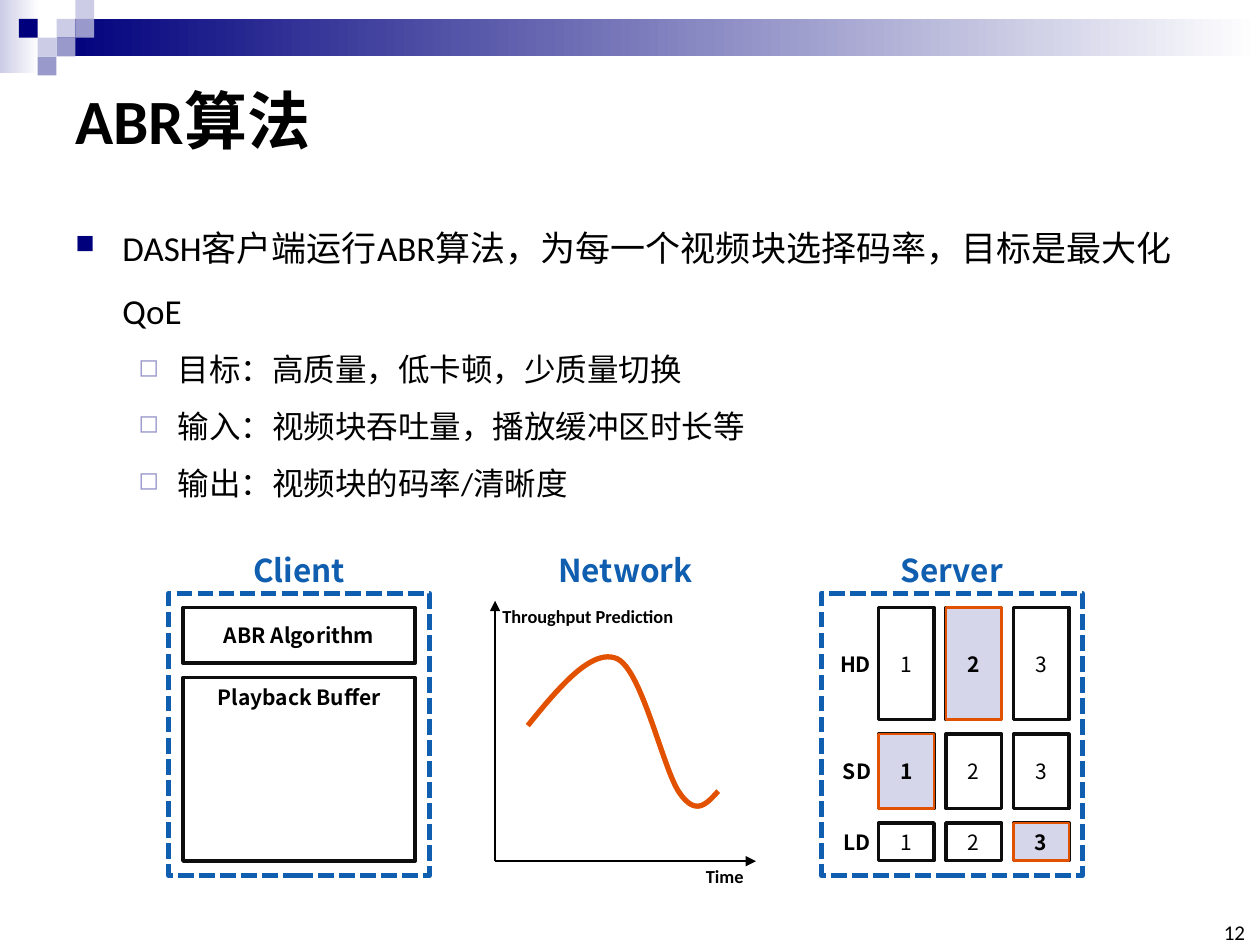
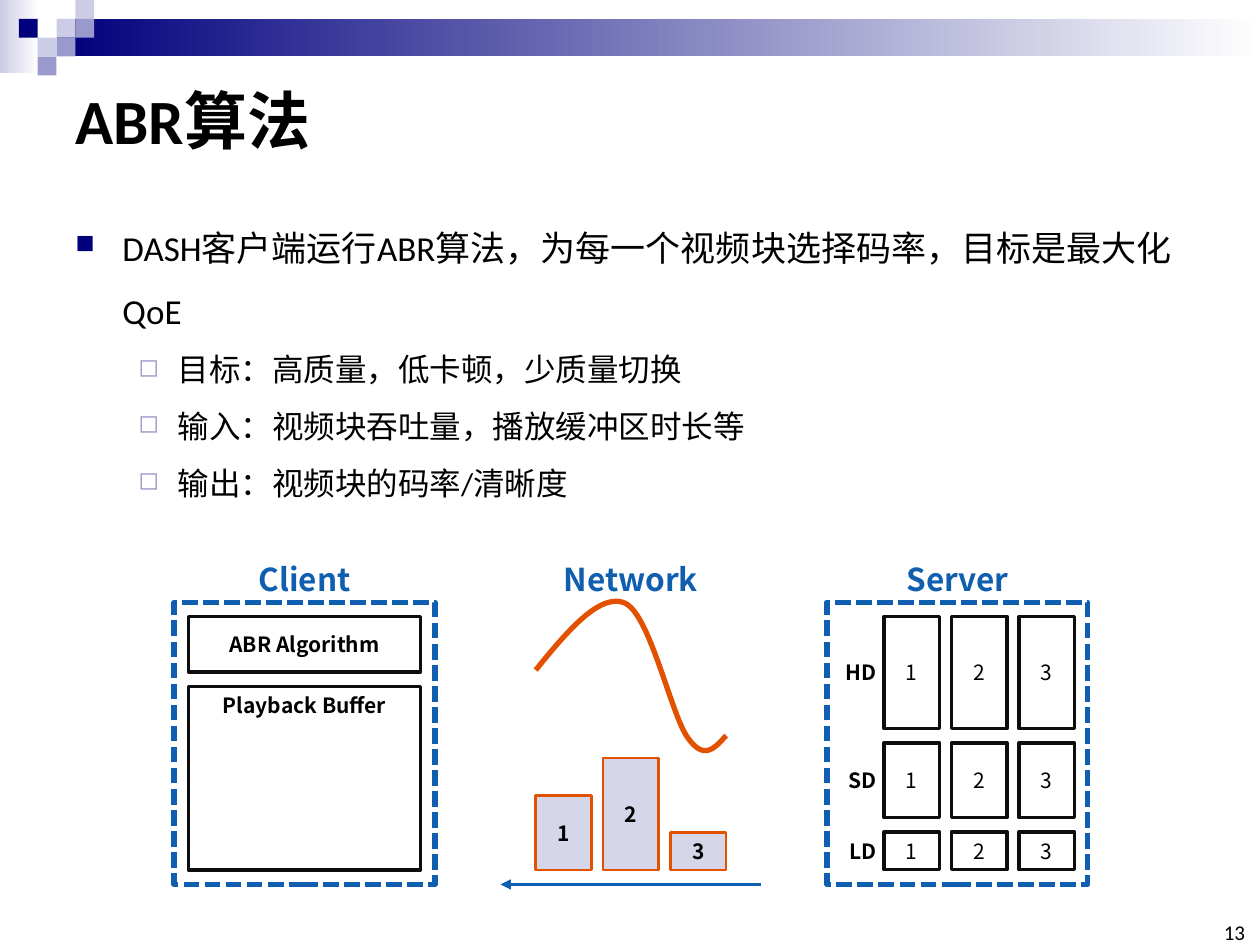
from dataclasses import dataclass
from itertools import accumulate

from lxml.etree import SubElement
from pptx import Presentation
from pptx.dml.color import RGBColor
from pptx.enum.dml import MSO_LINE
from pptx.enum.shapes import MSO_CONNECTOR, MSO_SHAPE
from pptx.enum.text import MSO_ANCHOR as Anchor, MSO_AUTO_SIZE, PP_ALIGN as Align
from pptx.oxml.ns import qn
from pptx.util import Cm, Pt


@dataclass(frozen=True)
class Theme:
    navy: str = "00007D"
    lavender: str = "9999CC"
    pale: str = "CCCCE6"
    chosen: str = "D6D6EB"
    white: str = "FFFFFF"
    black: str = "000000"
    box_line: str = "0D0D0D"
    blue: str = "105EAF"
    orange: str = "E15100"
    latin: str = "Calibri"
    cjk: str = "Noto Sans CJK SC"
    title: float = 36
    body: float = 20
    sub: float = 18
    heading: float = 18
    label: float = 12
    axis: float = 10.5


T = Theme()
TITLE = "ABR算法"
GOAL = "DASH客户端运行ABR算法，为每一个视频块选择码率，目标是最大化QoE"
DETAILS = [
    "目标：高质量，低卡顿，少质量切换",
    "输入：视频块吞吐量，播放缓冲区时长等",
    "输出：视频块的码率/清晰度",
]

# Diagram measures in cm
PANEL_W, PANEL_H, PANEL_PITCH = 5.26, 5.69, 6.58
GAP = 0.29
CHUNK_W, CHUNK_PITCH, FIRST_CHUNK = 1.12, 1.36, 1.15
QUALITY_HEIGHTS = {"HD": 2.26, "SD": 1.5, "LD": 0.76}
QUALITY_TOPS = dict(zip(QUALITY_HEIGHTS, accumulate(
    (h + GAP for h in QUALITY_HEIGHTS.values()), initial=GAP)))
CHOSEN_QUALITIES = ["SD", "HD", "LD"]
THROUGHPUT_BEZIERS = [
    [(0, 0), (0.64, -0.79), (1.3, -1.57), (1.8, -1.35)],
    [(1.8, -1.35), (2.31, -1.12), (2.74, 0.94), (3.07, 1.37)],
    [(3.07, 1.37), (3.4, 1.83), (3.61, 1.57), (3.84, 1.32)],
]


def rgb(color):
    return RGBColor.from_string(color)


def write(frame, *lines, size=T.label, font=T.cjk, color=T.black, bold=False,
          align=Align.CENTER, anchor=Anchor.MIDDLE, insets=(0.25, 0.13, 0.25, 0.13)):
    """Fill a text frame with one paragraph per line; insets are left, top, right, bottom."""
    frame.word_wrap = True
    frame.auto_size = MSO_AUTO_SIZE.NONE
    frame.vertical_anchor = anchor
    frame.margin_left, frame.margin_top, frame.margin_right, frame.margin_bottom = map(Cm, insets)
    for i, line in enumerate(lines):
        paragraph = frame.add_paragraph() if i else frame.paragraphs[0]
        paragraph.alignment = align
        run = paragraph.add_run()
        run.text = line
        run.font.size, run.font.bold, run.font.name = Pt(size), bold, font
        run.font.color.rgb = rgb(color)
        SubElement(run.font._element, qn("a:ea"), typeface=T.cjk)


def add_label(slide, x, y, w, h, text, **style):
    write(slide.shapes.add_textbox(Cm(x), Cm(y), Cm(w), Cm(h)).text_frame, text, **style)


def add_box(slide, x, y, w, h, text=None, fill=None, line=None, width=2, dash=None, **style):
    """Add a rectangle; a pair of colours as fill makes a left-to-right gradient."""
    box = slide.shapes.add_shape(MSO_SHAPE.RECTANGLE, Cm(x), Cm(y), Cm(w), Cm(h))
    box.shadow.inherit = False
    if fill is None:
        box.fill.background()
    elif isinstance(fill, tuple):
        box.fill.gradient()
        box.fill.gradient_angle = 0
        for stop, color, position in zip(box.fill.gradient_stops, fill, (0, 1)):
            stop.color.rgb = rgb(color)
            stop.position = position
    else:
        box.fill.solid()
        box.fill.fore_color.rgb = rgb(fill)
    if line:
        box.line.color.rgb = rgb(line)
        box.line.width = Pt(width)
        if dash:
            box.line.dash_style = dash
    else:
        box.line.fill.background()
    if text:
        write(box.text_frame, text, **style)


def add_arrow(slide, x1, y1, x2, y2, color):
    arrow = slide.shapes.add_connector(MSO_CONNECTOR.STRAIGHT, Cm(x1), Cm(y1), Cm(x2), Cm(y2))
    arrow.line.color.rgb = rgb(color)
    arrow.line.width = Pt(1.5)
    SubElement(arrow.line._get_or_add_ln(), qn("a:tailEnd"), type="triangle")
    SubElement(arrow._element.spPr, qn("a:effectLst"))


def bezier_point(points, t):
    weights = ((1 - t) ** 3, 3 * t * (1 - t) ** 2, 3 * t * t * (1 - t), t ** 3)
    return tuple(sum(w * p[axis] for w, p in zip(weights, points)) for axis in (0, 1))


def add_throughput_curve(slide, x, y, steps=24):
    points = [bezier_point(segment, i / steps)
              for segment in THROUGHPUT_BEZIERS for i in range(1, steps + 1)]
    builder = slide.shapes.build_freeform(Cm(x), Cm(y))
    builder.add_line_segments([(Cm(x + dx), Cm(y + dy)) for dx, dy in points], close=False)
    curve = builder.convert_to_shape()
    curve.shadow.inherit = False
    curve.fill.background()
    curve.line.color.rgb = rgb(T.orange)
    curve.line.width = Pt(3)


def add_band(slide):
    unit = 0.38
    add_box(slide, 0, 0, 0.79, 1.47, fill=(T.pale, T.white))
    add_box(slide, 3 * unit, unit, 25.4 - 3 * unit, 2 * unit, fill=(T.navy, T.white))
    squares = {
        T.pale: [(3, 1), (4, 0), (2, 2)],
        T.lavender: [(4, 1), (3, 2), (2, 3)],
        T.navy: [(1, 1)],
    }
    for color, cells in squares.items():
        for column, row in cells:
            add_box(slide, column * unit, row * unit, unit, unit, fill=color)


def set_bullet(paragraph, char, color, percent, left, hanging):
    properties = paragraph._p.get_or_add_pPr()
    properties.set("marL", str(Cm(left)))
    properties.set("indent", str(-Cm(hanging)))
    SubElement(SubElement(properties, qn("a:buClr")), qn("a:srgbClr"), val=color)
    SubElement(properties, qn("a:buSzPct"), val=str(percent * 1000))
    SubElement(properties, qn("a:buChar"), char=char)


def add_outline(slide):
    frame = slide.shapes.add_textbox(Cm(1.27), Cm(4.01), Cm(22.86), Cm(14)).text_frame
    write(frame, GOAL, *DETAILS, size=T.sub, font=T.latin, align=Align.LEFT, anchor=Anchor.TOP)
    goal, *details = frame.paragraphs
    goal.runs[0].font.size = Pt(T.body)
    for paragraph in frame.paragraphs:
        paragraph.line_spacing = 1.5
    set_bullet(goal, "■", T.navy, 75, 0.95, 0.95)
    for detail in details:
        detail.level = 1
        set_bullet(detail, "◻", T.lavender, 80, 2.06, 0.79)


def add_heading(slide, x, y, text):
    add_label(slide, x, y - 0.91, PANEL_W, 0.89, text, size=T.heading, color=T.blue, bold=True)


def add_panel(slide, x, y, heading):
    add_heading(slide, x, y, heading)
    add_box(slide, x, y, PANEL_W, PANEL_H, line=T.blue, width=3, dash=MSO_LINE.SQUARE_DOT)


def add_client(slide, x, y):
    inner_w, algorithm_h = PANEL_W - 2 * GAP, 1.12
    add_box(slide, x + GAP, y + GAP, inner_w, algorithm_h, "ABR Algorithm",
            line=T.box_line, bold=True)
    add_box(slide, x + GAP, y + 2 * GAP + algorithm_h, inner_w, PANEL_H - 3 * GAP - algorithm_h,
            "Playback Buffer", line=T.box_line, bold=True, anchor=Anchor.TOP)
    add_panel(slide, x, y, "Client")


def add_server(slide, x, y):
    for quality, height in QUALITY_HEIGHTS.items():
        top = y + QUALITY_TOPS[quality]
        add_label(slide, x + 0.25, top, 0.9, height, quality, bold=True,
                  align=Align.RIGHT, insets=(0, 0.13, 0.15, 0.13))
        for i in range(3):
            add_box(slide, x + FIRST_CHUNK + i * CHUNK_PITCH, top, CHUNK_W, height,
                    str(i + 1), line=T.box_line)
    add_panel(slide, x, y, "Server")


def add_chosen_chunks(slide, x, tops):
    for i, (quality, top) in enumerate(zip(CHOSEN_QUALITIES, tops)):
        add_box(slide, x + i * CHUNK_PITCH, top, CHUNK_W, QUALITY_HEIGHTS[quality], str(i + 1),
                fill=T.chosen, line=T.orange, width=1.5, bold=True)


def add_prediction(slide, x, y, server_x):
    """Plot the predicted throughput and mark the chunks chosen on the server."""
    add_throughput_curve(slide, x + 0.66, y + 2.67)
    add_chosen_chunks(slide, server_x + FIRST_CHUNK,
                      [y + QUALITY_TOPS[quality] for quality in CHOSEN_QUALITIES])
    base, top = y + PANEL_H - GAP, y + 0.15
    add_arrow(slide, x, base, x + PANEL_W, base, T.black)
    add_arrow(slide, x, base, x, top, T.black)
    axis_style = dict(size=T.axis, font=T.latin, bold=True, anchor=Anchor.TOP,
                      insets=(0.15, 0.08, 0.25, 0.08))
    add_label(slide, x, top, 4.5, 0.76, "Throughput Prediction", align=Align.LEFT, **axis_style)
    add_label(slide, x + 3, base, 2.26, 0.76, "Time", align=Align.RIGHT, **axis_style)


def add_transfer(slide, x, y, server_x):
    """Show the chosen chunks travelling from server to client."""
    add_throughput_curve(slide, x + 0.71, y + 1.37)
    add_arrow(slide, x + PANEL_W, y + PANEL_H, x, y + PANEL_H, T.blue)
    base = y + PANEL_H - GAP
    add_chosen_chunks(slide, x + 0.71,
                      [base - QUALITY_HEIGHTS[quality] for quality in CHOSEN_QUALITIES])


def add_abr_slide(deck, number, x, y, add_network):
    slide = deck.slides.add_slide(deck.slide_layouts[5])
    add_band(slide)
    title = slide.shapes.title
    title.left, title.top, title.width, title.height = Cm(1.27), Cm(1.27), Cm(22.86), Cm(2.26)
    write(title.text_frame, TITLE, size=T.title, font=T.latin, bold=True, align=Align.LEFT)
    add_outline(slide)
    network_x, server_x = x + PANEL_PITCH, x + 2 * PANEL_PITCH
    add_server(slide, server_x, y)
    add_client(slide, x, y)
    add_heading(slide, network_x, y, "Network")
    add_network(slide, network_x, y, server_x)
    add_label(slide, 24.5, 18.62, 0.6, 0.43, str(number), font=T.latin,
              align=Align.RIGHT, anchor=Anchor.BOTTOM, insets=(0, 0, 0, 0))


def main():
    deck = Presentation()
    deck.slide_width, deck.slide_height = Cm(25.4), Cm(19.05)
    add_abr_slide(deck, 12, 3.4, 11.96, add_prediction)
    add_abr_slide(deck, 13, 3.51, 12.14, add_transfer)
    deck.save("out.pptx")


if __name__ == "__main__":
    main()
